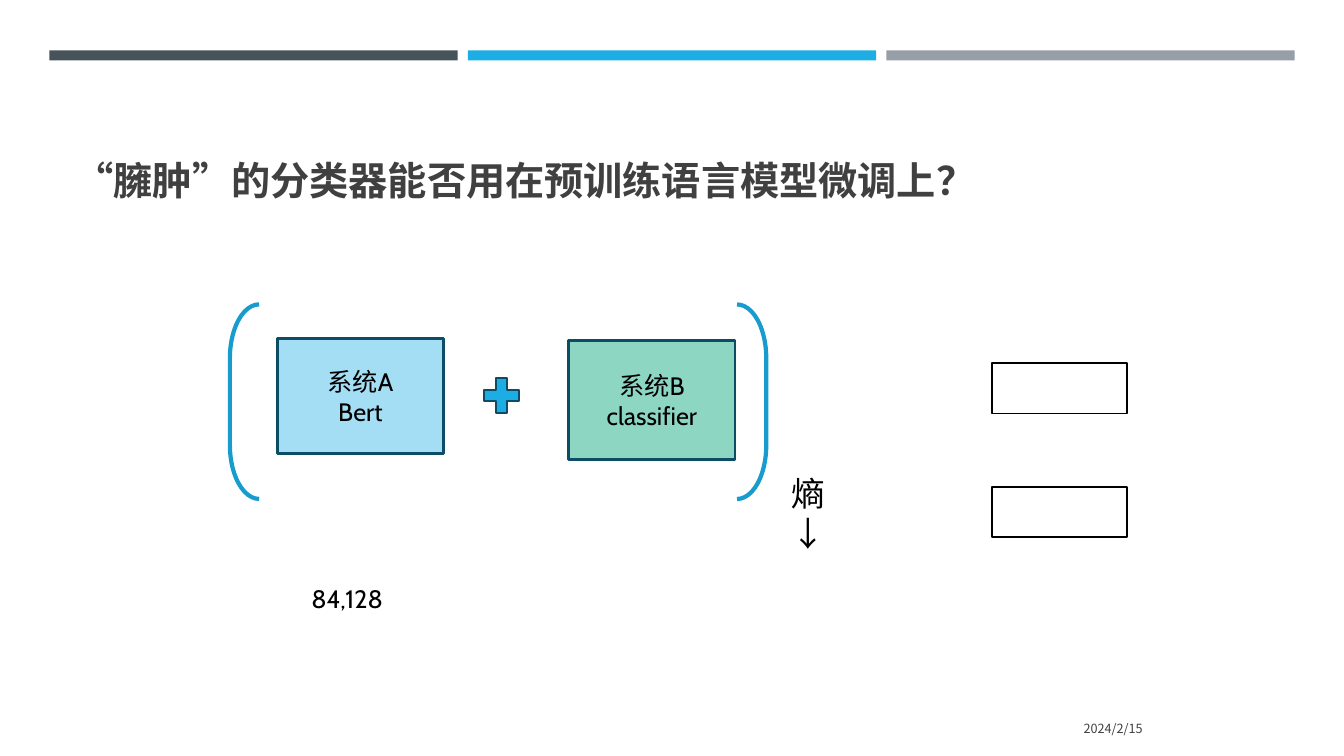
from dataclasses import dataclass

from lxml import etree
from pptx import Presentation
from pptx.dml.color import RGBColor
from pptx.enum.shapes import MSO_SHAPE
from pptx.enum.text import MSO_ANCHOR, MSO_AUTO_SIZE, PP_ALIGN
from pptx.oxml.ns import qn
from pptx.util import Inches, Pt

RECT, PLUS, BRACKET = MSO_SHAPE.RECTANGLE, MSO_SHAPE.MATH_PLUS, MSO_SHAPE.LEFT_BRACKET
LEFT, MID, RIGHT = PP_ALIGN.LEFT, PP_ALIGN.CENTER, PP_ALIGN.RIGHT
TOP, CENTER, BOTTOM = MSO_ANCHOR.TOP, MSO_ANCHOR.MIDDLE, MSO_ANCHOR.BOTTOM


@dataclass(frozen=True)
class Theme:
    slate: str = "465359"
    blue: str = "1CADE4"
    gray: str = "969FA7"
    ink: str = "404040"
    black: str = "000000"
    white: str = "FFFFFF"
    navy: str = "0C4C64"
    curve: str = "189CCE"
    sky: str = "A4DEF4"
    mint: str = "8DD6C1"
    latin: str = "Cabin"
    han: str = "Noto Sans CJK SC"
    title: int = 28
    large: int = 24
    body: int = 18
    small: int = 9


THEME = Theme()


def write(shape, text, size, color=THEME.black, font=THEME.latin,
          align=LEFT, anchor=TOP, bold=False):
    """Fill a shape with text, one paragraph per line, and format it."""
    frame = shape.text_frame
    frame.text = text
    frame.word_wrap = True
    frame.auto_size = MSO_AUTO_SIZE.NONE
    frame.vertical_anchor = anchor
    for para in frame.paragraphs:
        para.alignment = align
        for run in para.runs:
            run.font.size = Pt(size)
            run.font.bold = bold
            run.font.name = font
            run.font.color.rgb = RGBColor.from_string(color)
            east = etree.SubElement(run.font._element, qn("a:ea"))
            east.set("typeface", THEME.han)


def add_label(slide, box, text, size, **style):
    label = slide.shapes.add_textbox(*map(Inches, box))
    write(label, text, size, **style)


def add_form(slide, kind, box, fill=None, line=None, width=1.75):
    """Add a preset shape; no fill or line colour means none is drawn."""
    form = slide.shapes.add_shape(kind, *map(Inches, box))
    form.shadow.inherit = False
    if fill:
        form.fill.solid()
        form.fill.fore_color.rgb = RGBColor.from_string(fill)
    else:
        form.fill.background()
    if line:
        form.line.color.rgb = RGBColor.from_string(line)
        form.line.width = Pt(width)
    else:
        form.line.fill.background()
    return form


def add_system(slide, box, text, fill):
    block = add_form(slide, RECT, box, fill, THEME.navy)
    write(block, text, THEME.body, align=MID, anchor=CENTER)


def add_bracket(slide, left, turn):
    curve = add_form(slide, BRACKET, (left, 3.02, 0.29, 1.93), line=THEME.curve, width=3)
    curve.adjustments[0] = 1.845
    curve.rotation = turn


def add_title(slide, text):
    title = slide.shapes.title
    title.left, title.top = Inches(0.64), Inches(0.77)
    title.width, title.height = Inches(12.06), Inches(1.3)
    write(title, text, THEME.title, color=THEME.ink, font=THEME.han,
          anchor=BOTTOM, bold=True)


def main():
    deck = Presentation()
    deck.slide_width, deck.slide_height = Inches(13.33), Inches(7.5)
    slide = deck.slides.add_slide(deck.slide_layouts[5])

    for index, color in enumerate((THEME.slate, THEME.blue, THEME.gray)):
        add_form(slide, RECT, (0.49 + 4.15 * index, 0.5, 4.05, 0.1), color)
    add_title(slide, "“臃肿”的分类器能否用在预训练语言模型微调上？")

    add_system(slide, (2.75, 3.36, 1.65, 1.14), "系统A\nBert", THEME.sky)
    add_system(slide, (5.64, 3.38, 1.65, 1.18), "系统B\nclassifier", THEME.mint)
    add_form(slide, PLUS, (4.74, 3.69, 0.47, 0.47), THEME.blue, THEME.navy)
    for left, turn in ((2.28, 0), (7.31, 180)):
        add_bracket(slide, left, turn)

    add_label(slide, (7.75, 4.64, 0.71, 0.5), "熵↓", THEME.large)
    for top in (3.6, 4.83):
        add_form(slide, RECT, (9.84, top, 1.34, 0.5), THEME.white, THEME.black, 1)
    add_label(slide, (2.99, 5.74, 6.67, 0.4), "84,128", THEME.body)
    add_label(slide, (8.32, 7.03, 3.11, 0.4), "2024/2/15", THEME.small,
              color=THEME.ink, font=THEME.han, align=RIGHT, anchor=CENTER)

    deck.save("out.pptx")


if __name__ == "__main__":
    main()
